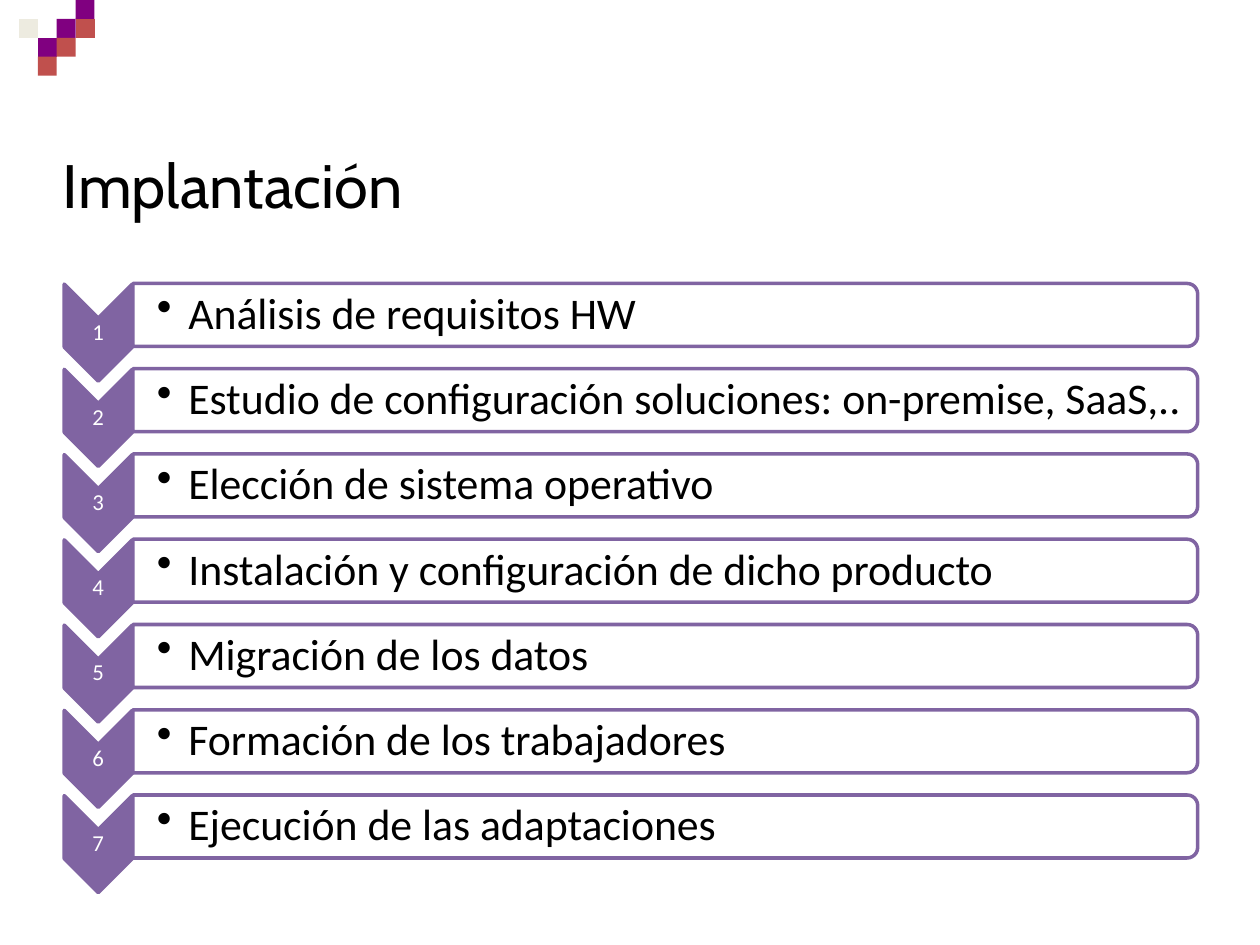
from dataclasses import dataclass

from lxml.etree import SubElement
from pptx import Presentation
from pptx.dml.color import RGBColor
from pptx.enum.shapes import MSO_SHAPE
from pptx.enum.text import MSO_ANCHOR, PP_ALIGN
from pptx.oxml.ns import qn
from pptx.shapes.autoshape import Shape
from pptx.slide import Slide
from pptx.util import Inches, Pt


@dataclass(frozen=True)
class Theme:
    """Colours, fonts and type sizes of the slide."""
    violet: str = "8064A2"
    purple: str = "800080"
    brick: str = "C0504D"
    cream: str = "EDEBE0"
    white: str = "FFFFFF"
    black: str = "000000"
    heading_font: str = "Cabin"
    body_font: str = "Calibri"
    heading_size: int = 35
    step_size: int = 25
    number_size: int = 13
    outline: int = 2


@dataclass(frozen=True)
class Box:
    """A frame in inches."""
    left: float
    top: float
    width: float
    height: float

    @classmethod
    def centred(cls, x: float, y: float, width: float, height: float) -> "Box":
        """Return the frame with the given centre."""
        return cls(x - width / 2, y - height / 2, width, height)

    def lengths(self) -> list[Inches]:
        """Return the frame as python-pptx lengths."""
        return [Inches(v) for v in (self.left, self.top, self.width, self.height)]


@dataclass(frozen=True)
class TextStyle:
    """Type, alignment and insets of a label."""
    font: str
    size: int
    colour: str
    insets: tuple[float, float, float, float]
    align: PP_ALIGN = PP_ALIGN.LEFT
    anchor: MSO_ANCHOR = MSO_ANCHOR.MIDDLE
    spacing: float = 0.9
    bulleted: bool = False


@dataclass(frozen=True)
class Mosaic:
    """Tiles of one colour, given as column and row."""
    colour: str
    cells: tuple[tuple[int, int], ...]


THEME = Theme()
TILE = 0.15
MOSAICS = (
    Mosaic(THEME.purple, ((3, 1), (4, 0))),
    Mosaic(THEME.brick, ((4, 1),)),
    Mosaic(THEME.purple, ((2, 2),)),
    Mosaic(THEME.cream, ((1, 1),)),
    Mosaic(THEME.brick, ((3, 2), (2, 3))),
)
STEPS = (
    "Análisis de requisitos HW",
    "Estudio de configuración soluciones: on-premise, SaaS,..",
    "Elección de sistema operativo",
    "Instalación y configuración de dicho producto",
    "Migración de los datos",
    "Formación de los trabajadores",
    "Ejecución de las adaptaciones",
)
FIRST_ROW, LAST_ROW = 2.5, 6.56
HEADING = TextStyle(THEME.heading_font, THEME.heading_size, THEME.black,
                    (0, 0.01, 0, 0), anchor=MSO_ANCHOR.TOP, spacing=1.0)
NUMBER = TextStyle(THEME.body_font, THEME.number_size, THEME.white,
                   (0.01, 0.01, 0.01, 0.01), align=PP_ALIGN.CENTER)
STEP = TextStyle(THEME.body_font, THEME.step_size, THEME.black,
                 (0.19, 0.02, 0.02, 0.02), bulleted=True)


def paint(shape: Shape, fill: str) -> None:
    """Give a shape a flat fill without shadow."""
    shape.shadow.inherit = False
    shape.fill.solid()
    shape.fill.fore_color.rgb = RGBColor.from_string(fill)


def add_mosaic(slide: Slide, mosaic: Mosaic) -> None:
    """Draw the tiles of one colour as a single outline."""
    builder = None
    for column, row in mosaic.cells:
        left, top, right, bottom = (
            Inches(n * TILE) for n in (column, row, column + 1, row + 1))
        if builder is None:
            builder = slide.shapes.build_freeform(left, top)
        else:
            builder.move_to(left, top)
        builder.add_line_segments([(right, top), (right, bottom), (left, bottom)])
    tiles = builder.convert_to_shape()
    paint(tiles, mosaic.colour)
    tiles.line.fill.background()


def add_turned(slide: Slide, kind: MSO_SHAPE, box: Box, fill: str) -> Shape:
    """Draw an outlined preset turned a quarter clockwise."""
    turned = slide.shapes.add_shape(kind, *box.lengths())
    turned.rotation = 90
    paint(turned, fill)
    turned.line.color.rgb = RGBColor.from_string(THEME.violet)
    turned.line.width = Pt(THEME.outline)
    return turned


def add_label(slide: Slide, box: Box, text: str, style: TextStyle) -> None:
    """Write one paragraph in a text box."""
    frame = slide.shapes.add_textbox(*box.lengths()).text_frame
    frame.word_wrap = True
    frame.vertical_anchor = style.anchor
    (frame.margin_left, frame.margin_top,
     frame.margin_right, frame.margin_bottom) = map(Inches, style.insets)
    paragraph = frame.paragraphs[0]
    paragraph.alignment = style.align
    paragraph.line_spacing = style.spacing
    if style.bulleted:
        properties = paragraph._p.get_or_add_pPr()
        properties.set("marL", str(Inches(0.25)))
        properties.set("indent", str(Inches(-0.25)))
        SubElement(properties, qn("a:buChar")).set("char", "•")
    run = paragraph.add_run()
    run.text = text
    run.font.name = style.font
    run.font.size = Pt(style.size)
    run.font.color.rgb = RGBColor.from_string(style.colour)


def add_step(slide: Slide, number: int, step: str, middle: float) -> None:
    """Draw a numbered chevron and its bar around a row's middle."""
    arrow_middle = middle + 0.14
    add_turned(slide, MSO_SHAPE.CHEVRON,
               Box.centred(0.78, arrow_middle, 0.77, 0.54), THEME.violet)
    add_label(slide, Box.centred(0.78, arrow_middle, 0.54, 0.23), str(number), NUMBER)
    bar = add_turned(slide, MSO_SHAPE.ROUND_2_SAME_RECTANGLE,
                     Box.centred(5.28, middle, 0.5, 8.45), THEME.white)
    tint = bar.fill._xPr.find(qn("a:solidFill"))[0]
    SubElement(tint, qn("a:alpha")).set("val", "90000")
    add_label(slide, Box.centred(5.27, middle, 8.43, 0.45), step, STEP)


def main() -> None:
    """Build and save the slide."""
    deck = Presentation()
    deck.slide_width, deck.slide_height = Inches(10), Inches(7.5)
    slide = deck.slides.add_slide(deck.slide_layouts[6])
    for mosaic in MOSAICS:
        add_mosaic(slide, mosaic)
    add_label(slide, Box(0.5, 1.16, 4.67, 0.6), "Implantación", HEADING)
    pitch = (LAST_ROW - FIRST_ROW) / (len(STEPS) - 1)
    for index, step in enumerate(STEPS):
        add_step(slide, index + 1, step, FIRST_ROW + index * pitch)
    deck.save("out.pptx")


if __name__ == "__main__":
    main()
